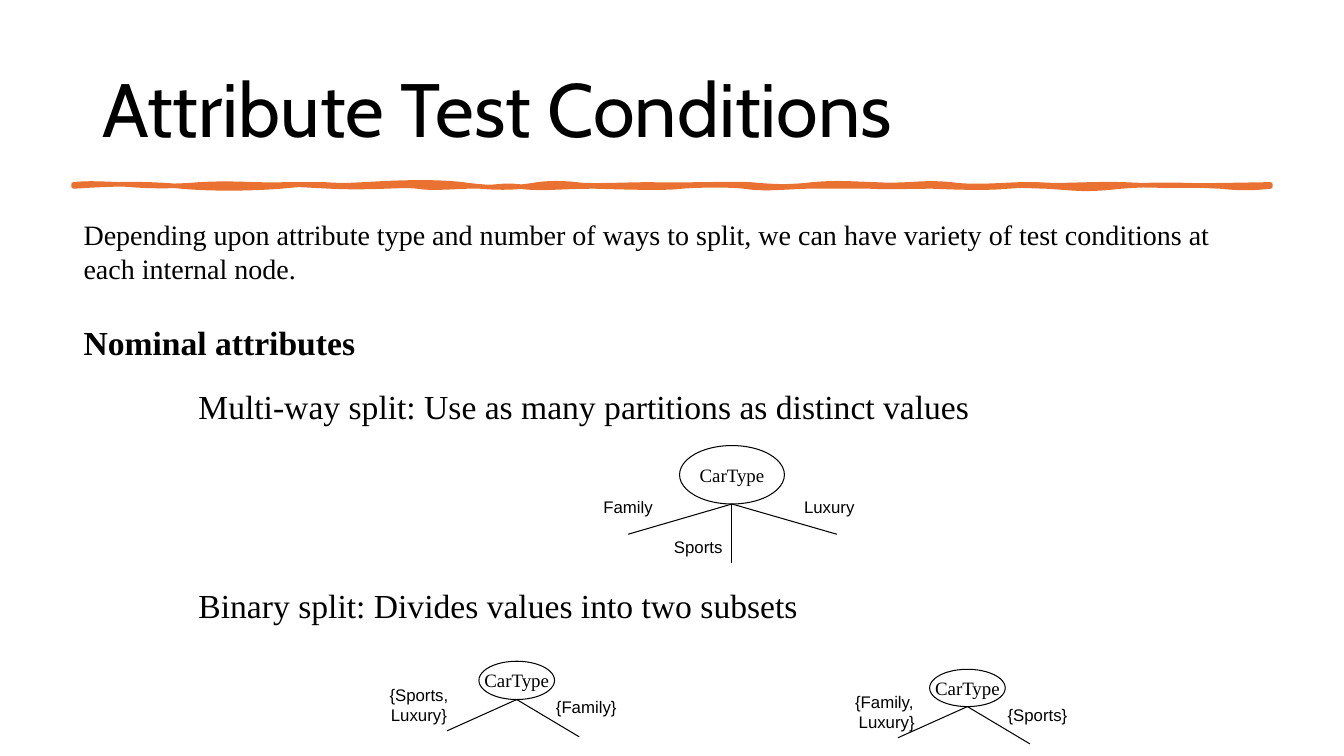
from pptx import Presentation
from pptx.dml.color import RGBColor
from pptx.enum.shapes import MSO_CONNECTOR, MSO_SHAPE
from pptx.enum.text import MSO_ANCHOR, PP_ALIGN
from pptx.oxml.ns import qn
from pptx.util import Pt
from lxml import etree

PX = 9144  # 100 px to the inch
BLACK = RGBColor(0x00, 0x00, 0x00)
WHITE = RGBColor(0xFF, 0xFF, 0xFF)
ORANGE = RGBColor(0xE9, 0x71, 0x32)
SERIF = "Times New Roman"

# Content: text, place (left, top, width, height), size, bold
TITLE = ("Attribute Test Conditions", (92, 40, 1150, 145), 54)
TEXTS = [
    ("Depending upon attribute type and number of ways to split, we can have "
     "variety of test conditions at each internal node.", (73, 211, 1169, 77), 20, False),
    ("Nominal attributes", (73, 314, 298, 50), 24, True),
    ("Multi-way split: Use as many partitions as distinct values", (187, 378, 953, 50), 24, False),
    ("Binary split: Divides values into two subsets", (187, 575, 862, 50), 24, False),
]

# Trees: branch tips are offsets from the bottom of the root oval;
# each label has its text, place and whether it wraps
BINARY_TIPS = [(-69, 31), (62, 37)]
TREES = [
    {"root": (674, 442, 104, 58), "tips": [(-103, 30), (0, 59), (104, 30)],
     "labels": [("Family", (575, 479, 96, 48), False), ("Sports", (645, 518, 95, 48), False),
                ("Luxury", (774, 479, 97, 48), False)]},
    {"root": (475, 656, 75, 38), "tips": BINARY_TIPS,
     "labels": [("{Sports, Luxury}", (373, 674, 85, 51), True),
                ("{Family}", (541, 686, 81, 30), False)]},
    {"root": (922, 664, 75, 37), "tips": BINARY_TIPS,
     "labels": [("{Family, \nLuxury}", (838, 681, 83, 51), False),
                ("{Sports}", (989, 694, 80, 30), False)]},
]

# Hand-drawn rule: start point, then cubic curves (two controls and an end)
RULE_START = (73, 183)
RULE_CURVES = [
    (89, 181, 111, 183, 124, 183), (136, 184, 162, 186, 198, 183),
    (234, 181, 251, 184, 284, 183), (317, 183, 307, 183, 322, 183),
    (338, 184, 342, 184, 361, 183), (380, 182, 424, 179, 459, 183),
    (494, 188, 517, 186, 533, 183), (549, 181, 563, 182, 572, 183),
    (581, 185, 625, 183, 646, 183), (667, 184, 723, 182, 744, 183),
    (765, 185, 782, 186, 806, 183), (830, 181, 838, 182, 868, 183),
    (899, 185, 914, 180, 943, 183), (972, 187, 1002, 182, 1029, 183),
    (1055, 185, 1078, 182, 1115, 183), (1151, 185, 1199, 184, 1260, 183),
    (1260, 184, 1260, 184, 1260, 185), (1242, 187, 1230, 187, 1210, 185),
    (1190, 184, 1149, 182, 1112, 185), (1075, 189, 1070, 187, 1038, 185),
    (1005, 184, 1018, 184, 999, 185), (980, 187, 948, 186, 925, 185),
    (902, 185, 884, 186, 863, 185), (841, 185, 828, 185, 800, 185),
    (773, 186, 757, 188, 738, 185), (719, 183, 688, 184, 676, 185),
    (663, 187, 624, 186, 590, 185), (555, 185, 537, 188, 515, 185),
    (494, 183, 491, 187, 477, 185), (463, 184, 430, 188, 414, 185),
    (399, 183, 371, 187, 328, 185), (286, 183, 303, 183, 278, 185),
    (253, 187, 213, 188, 180, 185), (147, 182, 118, 182, 73, 185),
]

deck = Presentation()
deck.slide_width, deck.slide_height = 1333 * PX, 750 * PX
page = deck.slides.add_slide(deck.slide_layouts[6])


def emu(place):
    return [round(length * PX) for length in place]


def write(shape, text, size, font=SERIF, bold=False, align=PP_ALIGN.LEFT,
          anchor=MSO_ANCHOR.TOP, wrap=True):
    frame = shape.text_frame
    frame.word_wrap = wrap
    frame.vertical_anchor = anchor
    para = frame.paragraphs[0]
    para.alignment = align
    for index, line in enumerate(text.split("\n")):
        if index:
            para.add_line_break()
        span = para.add_run()
        span.text = line
        span.font.name, span.font.size, span.font.bold = font, Pt(size), bold
        span.font.color.rgb = BLACK
    return para


def add_curved_outline(start, curves):
    points = [curve[i:i + 2] for curve in curves for i in (0, 2, 4)]
    builder = page.shapes.build_freeform(*start, scale=PX)
    builder.add_line_segments(points, close=True)
    outline = builder.convert_to_shape()
    # Every three segments become the controls and end of one curve
    segments = list(outline._element.iter(qn("a:lnTo")))
    for first in range(0, len(segments), 3):
        curve = etree.Element(qn("a:cubicBezTo"))
        segments[first].addprevious(curve)
        for segment in segments[first:first + 3]:
            curve.append(segment[0])
            segment.getparent().remove(segment)
    return outline


def add_tree(root, tips, labels):
    left, top, width, height = root
    oval = page.shapes.add_shape(MSO_SHAPE.OVAL, *emu(root))
    oval.shadow.inherit = False
    oval.fill.solid()
    oval.fill.fore_color.rgb = WHITE
    oval.line.color.rgb = BLACK
    oval.line.width = Pt(0.75)
    write(oval, "CarType", 13.5, align=PP_ALIGN.CENTER, anchor=MSO_ANCHOR.MIDDLE, wrap=False)
    x, y = left + width / 2, top + height
    for dx, dy in tips:
        branch = page.shapes.add_connector(
            MSO_CONNECTOR.STRAIGHT, *emu((x, y, x + dx, y + dy)))
        branch.line.color.rgb = BLACK
        branch.line.width = Pt(0.75)
        etree.SubElement(branch._element.spPr, qn("a:effectLst"))
    for text, place, wrap in labels:
        write(page.shapes.add_textbox(*emu(place)), text, 12, "Arial",
              align=PP_ALIGN.CENTER, anchor=MSO_ANCHOR.MIDDLE, wrap=wrap)


# Title
text, place, size = TITLE
title = write(page.shapes.add_textbox(*emu(place)), text, size, "Cabin",
              anchor=MSO_ANCHOR.MIDDLE)
title.line_spacing = 0.9

# Orange rule
rule = add_curved_outline(RULE_START, RULE_CURVES)
rule.shadow.inherit = False
rule.fill.solid()
rule.fill.fore_color.rgb = ORANGE
rule.line.color.rgb = ORANGE
rule.line.width = Pt(3.25)

# Statements
for text, place, size, bold in TEXTS:
    write(page.shapes.add_textbox(*emu(place)), text, size, bold=bold)

# Split trees
for tree in TREES:
    add_tree(**tree)

deck.save("out.pptx")
